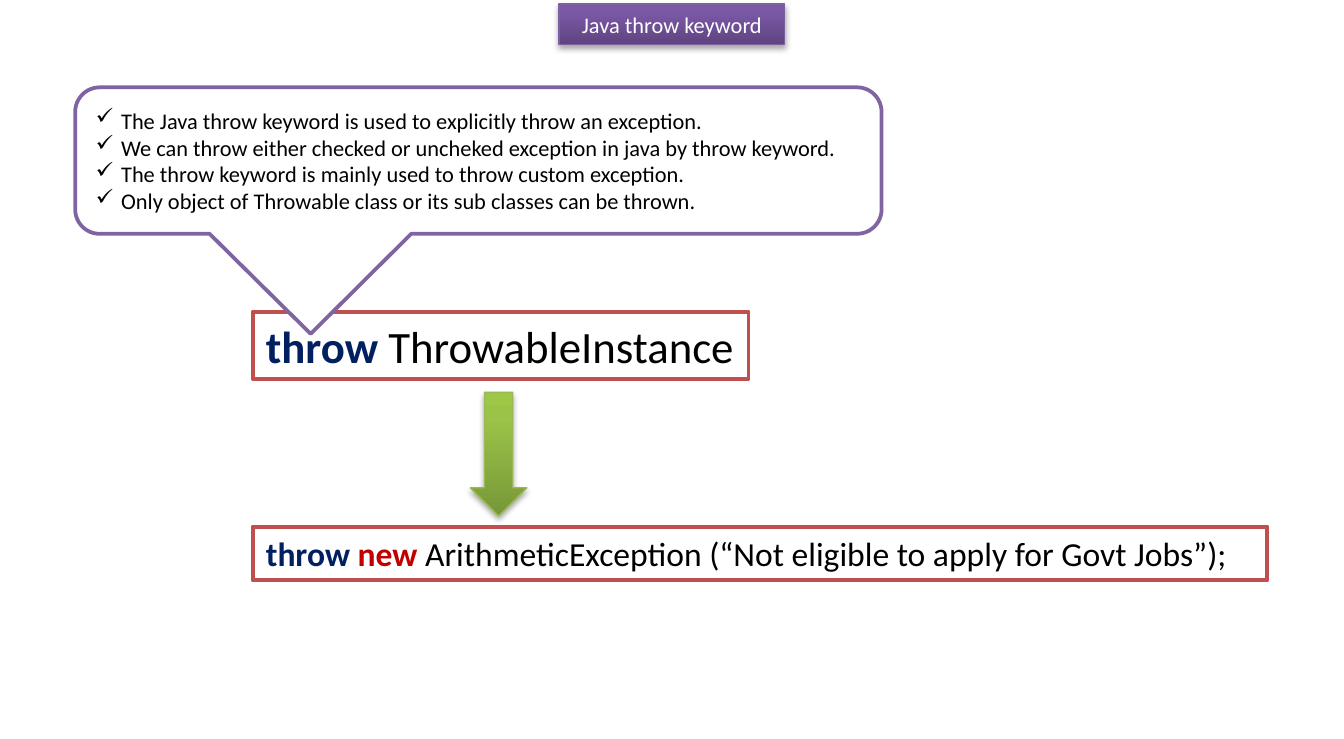
import dataclasses

import pptx
import pptx.dml.color
import pptx.enum.shapes
import pptx.enum.text
import pptx.oxml
import pptx.oxml.ns
import pptx.util

SHAPES = pptx.enum.shapes.MSO_SHAPE
ANCHOR = pptx.enum.text.MSO_ANCHOR
ALIGN = pptx.enum.text.PP_ALIGN
COLUMNS, ROWS = 100, 55


@dataclasses.dataclass(frozen=True)
class Theme:
    font: str = "Calibri"
    white: str = "FFFFFF"
    ink: str = "000000"
    keyword: str = "002060"
    operator: str = "C00000"
    code_line: str = "C0504D"
    callout_line: str = "8064A2"
    title_line: str = "7D60A0"
    arrow_line: str = "98B955"
    title_blend: tuple = ("5F4480", "7B58A6", "7C57A8")
    arrow_blend: tuple = ("779737", "9BC348", "9DC746")
    body_size: int = 12
    syntax_size: int = 24
    example_size: int = 18
    thin: float = 0.75
    thick: float = 2


THEME = Theme()


def rgb(value):
    return pptx.dml.color.RGBColor.from_string(value)


def drawing_xml(markup):
    namespace = pptx.oxml.ns.nsdecls("a")
    return pptx.oxml.parse_xml(markup.replace(">", f" {namespace}>", 1))


def grid_box(deck, left, top, width, height):
    column, row = deck.slide_width / COLUMNS, deck.slide_height / ROWS
    return [round(n) for n in (left * column, top * row, width * column, height * row)]


def place(shape, box):
    shape.left, shape.top, shape.width, shape.height = box


def outline(shape, color, width):
    shape.line.color.rgb = rgb(color)
    shape.line.width = pptx.util.Pt(width)


def style_flat(shape, line):
    shape.fill.solid()
    shape.fill.fore_color.rgb = rgb(THEME.white)
    outline(shape, line, THEME.thick)
    shape.shadow.inherit = False


def style_raised(shape, blend, line):
    shape.fill.gradient()
    shape.fill.gradient_angle = 90
    stops = shape.element.spPr.find(".//" + pptx.oxml.ns.qn("a:gsLst"))
    stops.clear()
    for share, color in zip((0, 80, 100), blend):
        stops.append(drawing_xml(
            f'<a:gs pos="{share * 1000}"><a:srgbClr val="{color}"/></a:gs>'))
    outline(shape, line, THEME.thin)
    shape.shadow.inherit = False
    effects = shape.element.spPr.find(pptx.oxml.ns.qn("a:effectLst"))
    effects.append(drawing_xml(
        '<a:outerShdw blurRad="40000" dist="23000" dir="5400000" rotWithShape="0">'
        f'<a:srgbClr val="{THEME.ink}"><a:alpha val="35000"/></a:srgbClr></a:outerShdw>'))


def style_text(font, size, color, bold=False):
    font.name = THEME.font
    font.size = pptx.util.Pt(size)
    font.bold = bold
    font.color.rgb = rgb(color)


def prepare_frame(shape, anchor):
    frame = shape.text_frame
    frame.word_wrap = True
    frame.auto_size = pptx.enum.text.MSO_AUTO_SIZE.NONE
    frame.vertical_anchor = anchor
    return frame


def add_title(page, box, text):
    title = page.shapes.title
    place(title, box)
    style_raised(title, THEME.title_blend, THEME.title_line)
    frame = prepare_frame(title, ANCHOR.TOP)
    frame.text = text
    para = frame.paragraphs[0]
    para.alignment = ALIGN.CENTER
    style_text(para.runs[0].font, THEME.body_size, THEME.white)


def add_code(page, box, size, pieces):
    code = page.shapes.add_shape(SHAPES.RECTANGLE, *box)
    style_flat(code, THEME.code_line)
    frame = prepare_frame(code, ANCHOR.TOP)
    frame.margin_right = 0
    para = frame.paragraphs[0]
    para.alignment = ALIGN.LEFT
    for text, color, bold in pieces:
        span = para.add_run()
        span.text = text
        style_text(span.font, size, color, bold)


def add_callout(page, box, points):
    callout = page.shapes.add_shape(SHAPES.ROUNDED_RECTANGULAR_CALLOUT, *box)
    for index, value in enumerate((-0.208, 1.183, 0.167)):
        callout.adjustments[index] = value
    style_flat(callout, THEME.callout_line)
    frame = prepare_frame(callout, ANCHOR.MIDDLE)
    frame.text = "\n".join(points)
    indent = pptx.util.Inches(0.19)
    for para in frame.paragraphs:
        para.alignment = ALIGN.LEFT
        properties = para._p.get_or_add_pPr()
        properties.set("marL", str(indent))
        properties.set("indent", str(-indent))
        properties.append(drawing_xml('<a:buFont typeface="Wingdings"></a:buFont>'))
        properties.append(drawing_xml('<a:buChar char="ü"></a:buChar>'))
        style_text(para.runs[0].font, THEME.body_size, THEME.ink)


def add_down_arrow(page, box):
    arrow = page.shapes.add_shape(SHAPES.DOWN_ARROW, *box)
    style_raised(arrow, THEME.arrow_blend, THEME.arrow_line)


def main():
    deck = pptx.Presentation()
    deck.slide_width = pptx.util.Inches(10)
    deck.slide_height = pptx.util.Inches(5.5)
    page = deck.slides.add_slide(deck.slide_layouts.get_by_name("Title Only"))

    add_title(page, grid_box(deck, 41.6, 0.3, 16.8, 3), "Java throw keyword")
    add_code(page, grid_box(deck, 18.8, 23.2, 36.9, 5), THEME.syntax_size, (
        ("throw", THEME.keyword, True),
        (" ThrowableInstance", THEME.ink, False),
    ))
    add_callout(page, grid_box(deck, 5.6, 6.5, 60, 10.9), (
        "The Java throw keyword is used to explicitly throw an exception.",
        "We can throw either checked or uncheked exception in java by throw keyword.",
        "The throw keyword is mainly used to throw custom exception.",
        "Only object of Throwable class or its sub classes can be thrown.",
    ))
    add_code(page, grid_box(deck, 18.8, 39.2, 75.5, 4), THEME.example_size, (
        ("throw ", THEME.keyword, True),
        ("new", THEME.operator, True),
        (" ArithmeticException (“Not eligible to apply for Govt Jobs”);", THEME.ink, False),
    ))
    add_down_arrow(page, grid_box(deck, 35, 29.2, 4.2, 9.2))
    deck.save("out.pptx")


if __name__ == "__main__":
    main()
